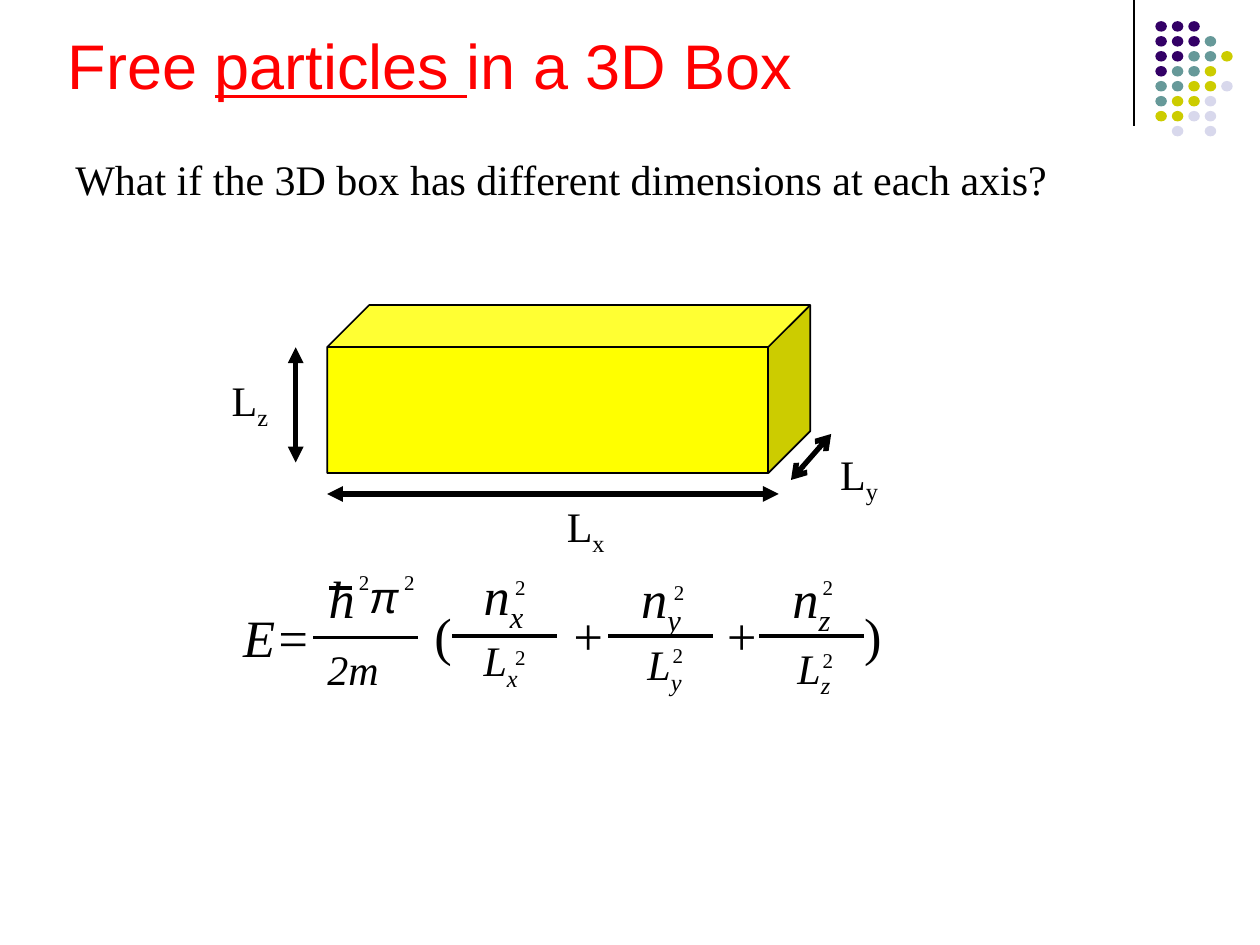
from pptx import Presentation
from pptx.dml.color import RGBColor
from pptx.enum.shapes import MSO_CONNECTOR, MSO_SHAPE
from pptx.enum.text import MSO_ANCHOR, MSO_AUTO_SIZE
from pptx.oxml.ns import qn
from pptx.util import Pt
from lxml.etree import SubElement

COLORS = {
    "black": "000000", "title": "FF0000", "cube": "FFFF00",
    "P": "330066", "T": "669999", "Y": "CCCC00", "L": "D8D8EC",
}
SERIF, SANS = "Times New Roman", "Arial"


def add_line(x1, y1, x2, y2, width, head=None, cap="flat"):
    line = slide.shapes.add_connector(
        MSO_CONNECTOR.STRAIGHT, Pt(x1), Pt(y1), Pt(x2), Pt(y2))
    line.line.color.rgb = RGBColor.from_string(COLORS["black"])
    line.line.width = Pt(width)
    outline = line.line._get_or_add_ln()
    outline.set("cap", cap)
    if head:
        for end in ("a:headEnd", "a:tailEnd"):
            SubElement(outline, qn(end), type=head)
    SubElement(line._element.spPr, qn("a:effectLst"))


def add_text(x, y, w, h, size, runs, font=SERIF, color="black", wrap=False, tabs=()):
    """Each run is (text, style); style holds i (italic), u (underline), s (subscript)."""
    box = slide.shapes.add_textbox(Pt(x), Pt(y), Pt(w), Pt(h))
    frame = box.text_frame
    frame.word_wrap = wrap
    frame.auto_size = MSO_AUTO_SIZE.SHAPE_TO_FIT_TEXT
    paragraph = frame.paragraphs[0]
    if tabs:
        tab_list = SubElement(paragraph._p.get_or_add_pPr(), qn("a:tabLst"))
        for stop in tabs:
            SubElement(tab_list, qn("a:tab"), pos=str(Pt(stop)), algn="l")
    for text, style in runs:
        run = paragraph.add_run()
        run.text = text
        run.font.size = Pt(size)
        run.font.name = font
        run.font.italic = "i" in style
        run.font.underline = "u" in style
        run.font.color.rgb = RGBColor.from_string(COLORS[color])
        if "s" in style:
            run._r.get_or_add_rPr().set("baseline", "-25000")
    return frame


prs = Presentation()
prs.slide_width, prs.slide_height = Pt(720), Pt(540)
slide = prs.slides.add_slide(prs.slide_layouts[6])

# Corner decoration: rule and dot pattern
add_line(648, 0, 648, 72, 0.75)
dot_rows = ["PPP", "PPPT", "PPTTY", "PTTY", "TTYYL", "TYYL", "YYLL", " L L"]
for row, dots in enumerate(dot_rows):
    for column, key in enumerate(dots):
        if key == " ":
            continue
        dot = slide.shapes.add_shape(
            MSO_SHAPE.OVAL, Pt(660.2 + 9.4 * column), Pt(12.1 + 8.55 * row), Pt(6.6), Pt(6))
        dot.shadow.inherit = False
        dot.fill.solid()
        dot.fill.fore_color.rgb = RGBColor.from_string(COLORS[key])
        dot.line.fill.background()

# Title and question
title = add_text(31.7, 13, 576, 48, 36,
                 [("Free ", ""), ("particles ", "u"), ("in a 3D Box", "")],
                 font=SANS, color="title", wrap=True)
title.auto_size = MSO_AUTO_SIZE.NONE
title.vertical_anchor = MSO_ANCHOR.MIDDLE
add_text(36, 84.2, 592.5, 36, 24,
         [("What if the 3D box has different dimensions at each axis?", "")], wrap=True)

# Box with its three dimensions
cube = slide.shapes.add_shape(MSO_SHAPE.CUBE, Pt(187), Pt(174.3), Pt(276), Pt(96))
cube.adjustments[0] = 0.25
cube.shadow.inherit = False
cube.fill.solid()
cube.fill.fore_color.rgb = RGBColor.from_string(COLORS["cube"])
cube.line.color.rgb = RGBColor.from_string(COLORS["black"])
cube.line.width = Pt(1)

add_line(169, 198.5, 169, 264.3, 3, "triangle")
add_line(187, 282.3, 445, 282.3, 3, "triangle")
add_line(475, 248, 452, 274.3, 3, "arrow")
for axis, x, y in [("x", 316.8, 282.3), ("y", 473, 252.7), ("z", 125.3, 210.3)]:
    add_text(x, y, 37.5, 40.3, 24, [("L", ""), (axis, "s")])

# Energy formula: prefactor
add_text(131.8, 342, 54.5, 43.2, 30, [("E=", "i")])
add_line(180, 364.3, 237.6, 364.3, 2.25, cap="sq")
add_line(189.4, 336.2, 200.2, 336.2, 2.25, cap="sq")
add_text(180.7, 319.7, 30.5, 43.2, 30, [("h", "i")])
add_text(203.8, 321.8, 28, 37.4, 25, [("π", "i")], font=SANS)
add_text(180, 364.3, 45, 36, 24, [("2m", "i")])
for square_x in (198, 223.9):
    add_text(square_x, 321.8, 21, 21.6, 12, [("2", "")])

# Energy formula: brackets and plus signs
add_text(241.2, 341.3, 311.8, 43.2, 30,
         [("(", ""), ("\t+\t+", "i"), ("\t)", "")], wrap=True, tabs=(77.5, 165.2, 245.5))

# Energy formula: axis, bar x, then (x, y) of n, its square, L, its square
terms = [
    ("x", 259.6, (269.3, 318.2), (287.3, 324.7), (269.3, 359.3), (287.3, 365)),
    ("y", 348.8, (359.3, 319.7), (378, 327.6), (362.9, 361.4), (377.3, 363.6)),
    ("z", 435, (445.7, 319.7), (463, 324.7), (448.6, 363.6), (463, 366.5)),
]
for axis, bar_x, n_at, n_square_at, length_at, length_square_at in terms:
    add_line(bar_x, 363.6, bar_x + 57.8, 363.6, 2.25, cap="sq")
    add_text(*n_at, 38.5, 48.2, 30, [("n", "i"), (axis, "is")])
    add_text(*length_at, 35.5, 40.3, 24, [("L", "i"), (axis, "is")])
    for square_at in (n_square_at, length_square_at):
        add_text(*square_at, 21, 21.6, 12, [("2", "")])

prs.save("out.pptx")
